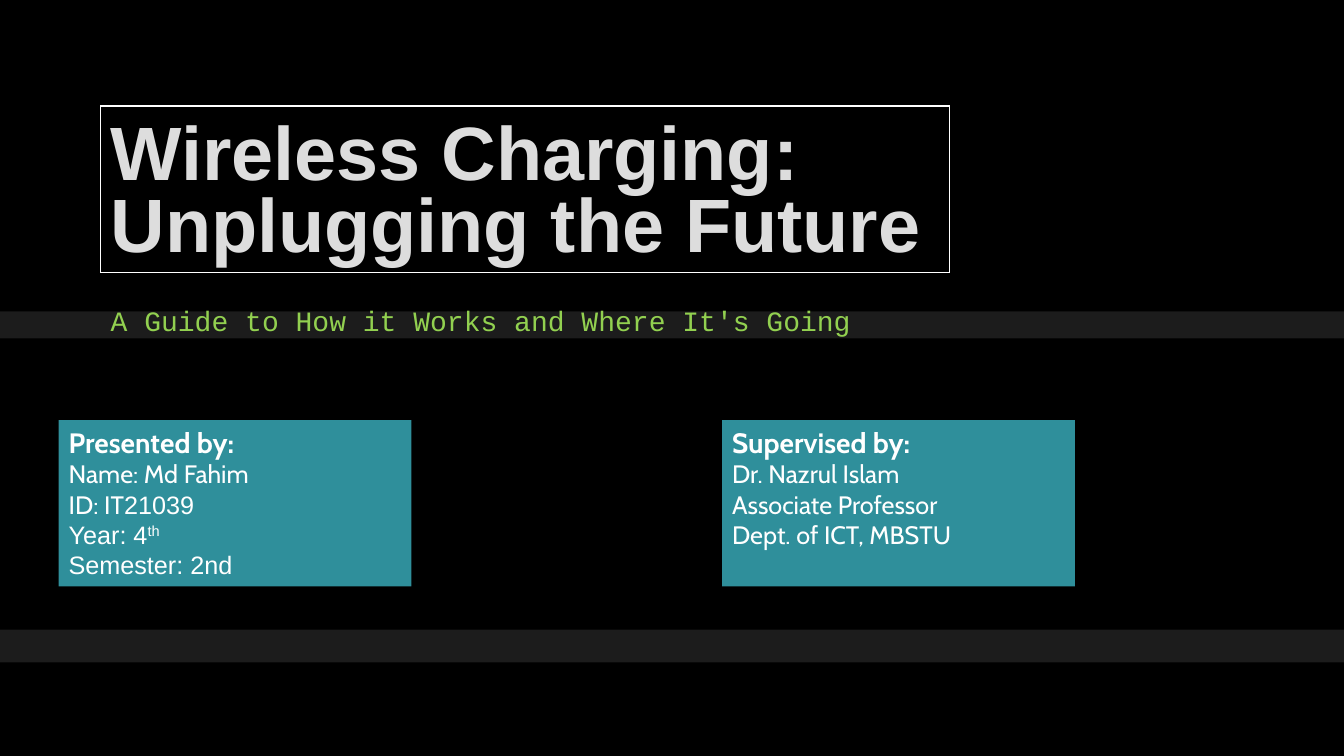
from lxml.etree import SubElement
from pptx import Presentation
from pptx.dml.color import RGBColor
from pptx.enum.shapes import MSO_SHAPE as Shape
from pptx.enum.text import MSO_ANCHOR as Anchor, PP_ALIGN as Align
from pptx.oxml.ns import qn
from pptx.util import Cm, Pt

SLIDE_WIDTH, SLIDE_HEIGHT = 33.87, 19.05
BLACK, WHITE, TEAL = "000000", "FFFFFF", "2F8F9B"
PRESENTER = [
    [("Name: Md Fahim", "Cabin")],
    [("ID: IT", "Cabin"), ("21039", "Arial")],
    [("Year: 4", "Arial"), ("th", "Arial", 30000)],
    [("Semester: 2nd", "Arial")],
]
SUPERVISOR = [
    [(line, "Cabin")]
    for line in ("Dr. Nazrul Islam", "Associate Professor", "Dept. of ICT, MBSTU")
]


def paint(colour_format, colour):
    """Give a fill or font colour a hex value."""
    colour_format.rgb = RGBColor.from_string(colour)


def style(run, font, size, colour, bold=False):
    """Format one run of text."""
    run.font.name = font
    run.font.size = Pt(size)
    run.font.bold = bold
    paint(run.font.color, colour)


def add_block(slide, left, top, width, height, colour, alpha=None):
    """Draw a plain filled rectangle."""
    block = slide.shapes.add_shape(
        Shape.RECTANGLE, Cm(left), Cm(top), Cm(width), Cm(height))
    block.shadow.inherit = False
    block.line.fill.background()
    block.fill.solid()
    paint(block.fill.fore_color, colour)
    if alpha:
        srgb = block.fill._xPr.find(".//" + qn("a:srgbClr"))
        SubElement(srgb, qn("a:alpha"), val=str(alpha * 1000))
    return block


def add_heading(slide, text, box, spacing, anchor, **look):
    """Place a single paragraph of wrapped text."""
    frame = slide.shapes.add_textbox(*map(Cm, box)).text_frame
    frame.word_wrap = True
    frame.vertical_anchor = anchor
    frame.text = text
    paragraph = frame.paragraphs[0]
    paragraph.line_spacing = spacing
    style(paragraph.runs[0], **look)


def add_title_frame(slide, left, top, width, height):
    """Outline the title with an unfilled one-cell table."""
    table = slide.shapes.add_table(
        1, 1, Cm(left), Cm(top), Cm(width), Cm(height)).table
    table.first_row = table.horz_banding = False
    cell = table.cell(0, 0)
    properties = cell._tc.get_or_add_tcPr()
    for side in "LRTB":
        border = SubElement(properties, qn(f"a:ln{side}"), w=str(Pt(1)))
        fill = SubElement(border, qn("a:solidFill"))
        SubElement(fill, qn("a:srgbClr"), val=WHITE)
    cell.fill.background()


def add_panel(slide, left, heading, lines):
    """Draw a teal panel with a bold heading and detail lines."""
    frame = add_block(slide, left, 10.59, 8.89, 4.19, TEAL).text_frame
    frame.word_wrap = True
    frame.vertical_anchor = Anchor.TOP
    frame.text = heading
    style(frame.paragraphs[0].runs[0], "Cabin", 20, WHITE, bold=True)
    for line in lines:
        paragraph = frame.add_paragraph()
        for text, font, *baseline in line:
            run = paragraph.add_run()
            run.text = text
            style(run, font, 18, WHITE)
            if baseline:
                run._r.get_or_add_rPr().set("baseline", str(baseline[0]))
    for paragraph in frame.paragraphs:
        paragraph.alignment = Align.LEFT


def main():
    """Build the title slide and save it."""
    deck = Presentation()
    deck.slide_width, deck.slide_height = Cm(SLIDE_WIDTH), Cm(SLIDE_HEIGHT)
    slide = deck.slides.add_slide(deck.slide_layouts[6])
    slide.background.fill.solid()
    paint(slide.background.fill.fore_color, BLACK)

    add_block(slide, 0, 7.85, SLIDE_WIDTH, 8.84, "262626", alpha=75)
    add_block(slide, 0, 8.53, SLIDE_WIDTH, 7.34, BLACK)
    add_heading(slide, "Wireless Charging: Unplugging the Future",
                (2.54, 2.11, 27.94, 4.75), 0.8, Anchor.BOTTOM,
                font="Arial", size=54, colour="DDDDDD", bold=True)
    add_heading(slide, "A Guide to How it Works and Where It's Going",
                (2.54, 7.62, 27.51, 1.9), 0.9, Anchor.TOP,
                font="Courier New", size=20, colour="92D050")
    add_title_frame(slide, 2.54, 2.67, 21.39, 4.19)
    add_panel(slide, 1.48, "Presented by:", PRESENTER)
    add_panel(slide, 18.2, "Supervised by:", SUPERVISOR)
    deck.save("out.pptx")


if __name__ == "__main__":
    main()
